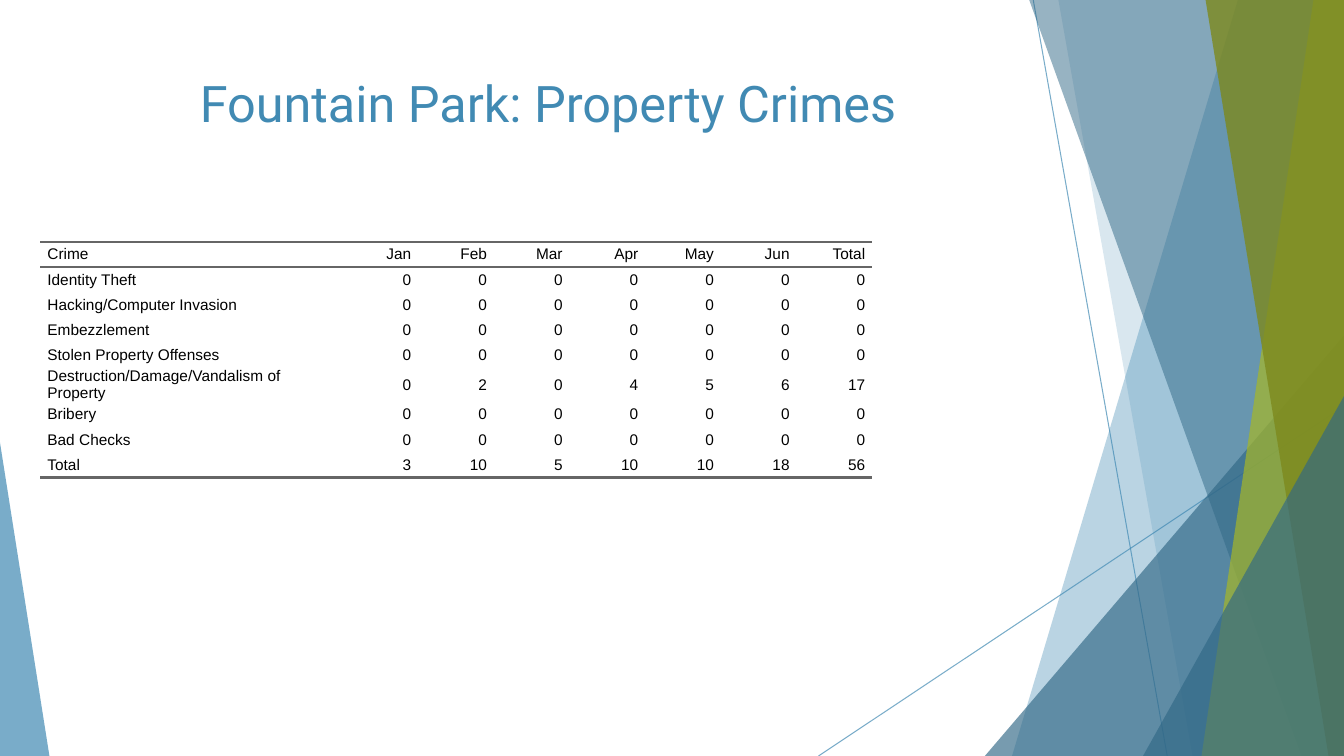
from pptx import Presentation
from pptx.dml.color import RGBColor
from pptx.enum.shapes import MSO_CONNECTOR, MSO_SHAPE
from pptx.enum.text import MSO_ANCHOR, MSO_AUTO_SIZE, PP_ALIGN
from pptx.oxml.ns import qn
from pptx.util import Inches, Pt
from lxml.etree import SubElement

WIDTH, HEIGHT = Inches(13.33), Inches(7.5)
COLORS = {
    "blue": "418AB3", "navy": "316886", "lime": "A6B727",
    "olive": "7D891D", "rule": "666666", "black": "000000",
}
MONTHS = ["Jan", "Feb", "Mar", "Apr", "May", "Jun"]
NONE_REPORTED = [0] * (len(MONTHS) + 1)
CRIMES = [
    ["Crime", *MONTHS, "Total"],
    ["Identity Theft", *NONE_REPORTED],
    ["Hacking/Computer Invasion", *NONE_REPORTED],
    ["Embezzlement", *NONE_REPORTED],
    ["Stolen Property Offenses", *NONE_REPORTED],
    ["Destruction/Damage/Vandalism of Property", 0, 2, 0, 4, 5, 6, 17],
    ["Bribery", *NONE_REPORTED],
    ["Bad Checks", *NONE_REPORTED],
    ["Total", 3, 10, 5, 10, 10, 18, 56],
]
CELL_FORMAT = {
    "margin_left": 0, "margin_right": 0, "margin_top": 0, "margin_bottom": 0,
    "vertical_anchor": MSO_ANCHOR.MIDDLE,
}
PARAGRAPH_FORMAT = {"space_before": Pt(5), "space_after": Pt(5)}
NO_GRID_STYLE = "{2D5ABB26-0587-4C30-8999-92F81FD0307C}"


def across(percent):
    return round(WIDTH * percent / 100)


def down(percent):
    return round(HEIGHT * percent / 100)


def apply(target, values):
    for attribute, value in values.items():
        setattr(target, attribute, value)


def color(name):
    return RGBColor.from_string(COLORS[name])


def set_font(font, name, size, color_name):
    apply(font, {"name": name, "size": Pt(size)})
    font.color.rgb = color(color_name)


def set_opacity(shape, percent):
    for tint in shape.element.spPr.iter(qn("a:srgbClr")):
        SubElement(tint, qn("a:alpha"), val=str(percent * 1000))


def paint(facet, color_name, opacity):
    facet.shadow.inherit = False
    facet.fill.solid()
    facet.fill.fore_color.rgb = color(color_name)
    facet.line.fill.background()
    set_opacity(facet, opacity)


# Decoration: positions are percentages of the slide
def add_ray(slide, x1, y1, x2, y2):
    ray = slide.shapes.add_connector(
        MSO_CONNECTOR.STRAIGHT, across(x1), down(y1), across(x2), down(y2))
    ray.line.width = Pt(0.75)
    ray.line.color.rgb = color("blue")
    set_opacity(ray, 70)
    SubElement(ray.element.spPr, qn("a:effectLst"))


def add_band(slide, top_left, bottom_left, color_name, opacity):
    """A facet that runs from a slanted left side to the right slide edge."""
    outline = slide.shapes.build_freeform(across(top_left), 0)
    outline.add_line_segments(
        [(WIDTH, 0), (WIDTH, HEIGHT), (across(bottom_left), HEIGHT)], close=True)
    paint(outline.convert_to_shape(), color_name, opacity)


def add_corner(slide, left, right, top, apex, color_name, opacity):
    """A right triangle standing on the bottom slide edge."""
    corner = slide.shapes.add_shape(
        MSO_SHAPE.ISOSCELES_TRIANGLE, across(left), down(top),
        across(right - left), down(100 - top))
    corner.adjustments[0] = apex
    paint(corner, color_name, opacity)


def add_facets(slide):
    add_ray(slide, 76.88, 0, 86.85, 100)
    add_ray(slide, 100, 53.73, 60.9, 100)
    add_band(slide, 92.1, 75.3, "blue", 36)
    add_band(slide, 78.75, 88.73, "blue", 20)
    add_corner(slide, 73.28, 100, 44.4, 1, "navy", 66)
    add_band(slide, 76.58, 96.83, "navy", 50)
    add_band(slide, 97.73, 89.4, "lime", 70)
    add_band(slide, 89.7, 98.85, "olive", 80)
    add_corner(slide, 85.05, 100, 52.4, 1, "navy", 66)
    add_corner(slide, 0, 3.68, 58.53, 0, "blue", 70)


# Crime table
def add_rule(cell, side):
    properties = cell._tc.get_or_add_tcPr()
    rule = SubElement(properties, qn(f"a:{side}"), w=str(Pt(2)))
    fill = SubElement(rule, qn("a:solidFill"))
    SubElement(fill, qn("a:srgbClr"), val=COLORS["rule"])


def fill_cell(cell, content, align, rules):
    apply(cell, CELL_FORMAT)
    for side in rules:
        add_rule(cell, side)
    cell.fill.background()
    entry = cell.text_frame.paragraphs[0]
    apply(entry, {**PARAGRAPH_FORMAT, "alignment": align})
    indent = str(Inches(0.07))
    for name, value in {"marL": indent, "marR": indent, "indent": "0"}.items():
        entry._p.get_or_add_pPr().set(name, value)
    run = entry.add_run()
    run.text = str(content)
    set_font(run.font, "Arial", 11, "black")


def add_crime_table(slide):
    widths = [22.5] + [5.63] * (len(CRIMES[0]) - 1)
    row_height = 3.33
    frame = slide.shapes.add_table(
        len(CRIMES), len(widths), across(3), down(32),
        across(sum(widths)), down(row_height * len(CRIMES)))
    for style in frame.element.iter(qn("a:tableStyleId")):
        style.text = NO_GRID_STYLE
    table = frame.table
    apply(table, {"first_row": False, "horz_banding": False})
    for column, width in zip(table.columns, widths):
        column.width = across(width)
    rules = {0: ["lnT", "lnB"], len(CRIMES) - 1: ["lnB"]}
    for r, crime in enumerate(CRIMES):
        table.rows[r].height = down(row_height)
        for c, content in enumerate(crime):
            align = PP_ALIGN.RIGHT if c else PP_ALIGN.LEFT
            fill_cell(table.cell(r, c), content, align, rules.get(r, []))


# Heading
def add_heading(slide, text):
    heading = slide.shapes.title
    apply(heading, {"left": across(5.55), "top": down(8.93),
                    "width": across(70.5), "height": down(19.2)})
    apply(heading.text_frame, {
        "text": text, "word_wrap": True, "auto_size": MSO_AUTO_SIZE.NONE,
        "vertical_anchor": MSO_ANCHOR.TOP})
    line = heading.text_frame.paragraphs[0]
    line.alignment = PP_ALIGN.CENTER
    set_font(line.runs[0].font, "Roboto", 36, "blue")


def main():
    deck = Presentation()
    apply(deck, {"slide_width": WIDTH, "slide_height": HEIGHT})
    slide = deck.slides.add_slide(deck.slide_layouts.get_by_name("Title Only"))
    add_facets(slide)
    add_crime_table(slide)
    add_heading(slide, "Fountain Park: Property Crimes")
    deck.save("out.pptx")


if __name__ == "__main__":
    main()
